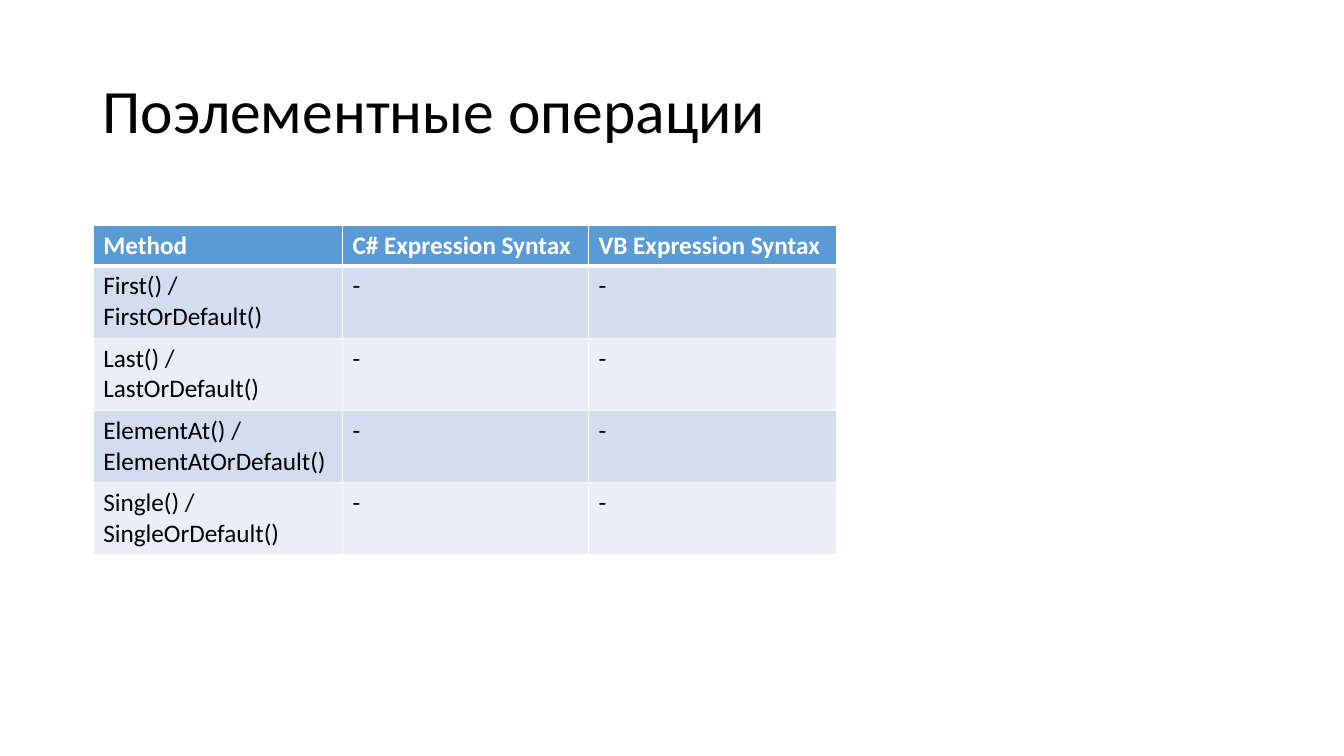
from lxml import etree
from pptx import Presentation
from pptx.dml.color import RGBColor
from pptx.enum.text import MSO_ANCHOR
from pptx.oxml.ns import qn
from pptx.util import Cm, Pt

MIDDLE = MSO_ANCHOR.MIDDLE
FONT = "Calibri"
BLACK = RGBColor(0x00, 0x00, 0x00)
WHITE = RGBColor(0xFF, 0xFF, 0xFF)
HEADER_BLUE = RGBColor(0x5B, 0x9B, 0xD5)
BANDS = [RGBColor(0xD2, 0xDE, 0xEF), RGBColor(0xEA, 0xEF, 0xF7)]


def style_text(p, size, color, bold=False):
    for r in p.runs:
        r.font.name = FONT
        r.font.size = Pt(size)
        r.font.bold = bold
        r.font.color.rgb = color


def set_border(cell, side, width):
    ln = etree.SubElement(cell._tc.get_or_add_tcPr(), qn(f"a:ln{side}"), w=str(Pt(width)))
    fill = etree.SubElement(ln, qn("a:solidFill"))
    etree.SubElement(fill, qn("a:srgbClr"), val=str(WHITE))


prs = Presentation()
prs.slide_width, prs.slide_height = Cm(33.87), Cm(19.05)
s = prs.slides.add_slide(prs.slide_layouts[6])

# Title
tf = s.shapes.add_textbox(Cm(2.33), Cm(1.01), Cm(29.21), Cm(3.68)).text_frame
tf.word_wrap = True
tf.vertical_anchor = MIDDLE
p = tf.paragraphs[0]
p.text = "Поэлементные операции"
p.line_spacing = 0.9
style_text(p, 44, BLACK)

# Table of methods: each one has an "OrDefault" variant and no query syntax
rows = [["Method", "C# Expression Syntax", "VB Expression Syntax"]]
for name in ["First", "Last", "ElementAt", "Single"]:
    rows.append([f"{name}() /\n{name}OrDefault()", "-", "-"])

col_widths = [Cm(6.28), Cm(6.2), Cm(6.26)]
header_height, row_height = Cm(1.03), Cm(1.82)
table = s.shapes.add_table(len(rows), len(col_widths), Cm(2.35), Cm(5.67), sum(col_widths),
                           header_height + row_height * (len(rows) - 1)).table
for column, width in zip(table.columns, col_widths):
    column.width = width

for i, row in enumerate(rows):
    header = i == 0
    table.rows[i].height = header_height if header else row_height
    for j, text in enumerate(row):
        cell = table.cell(i, j)
        cell.text = text
        for p in cell.text_frame.paragraphs:
            style_text(p, 18, WHITE if header else BLACK, header)
        # The rule under the header is thicker
        for side, width in [("L", 1), ("R", 1), ("T", 3 if i == 1 else 1), ("B", 3 if header else 1)]:
            set_border(cell, side, width)
        cell.fill.solid()
        cell.fill.fore_color.rgb = HEADER_BLUE if header else BANDS[(i - 1) % 2]

prs.save("out.pptx")
